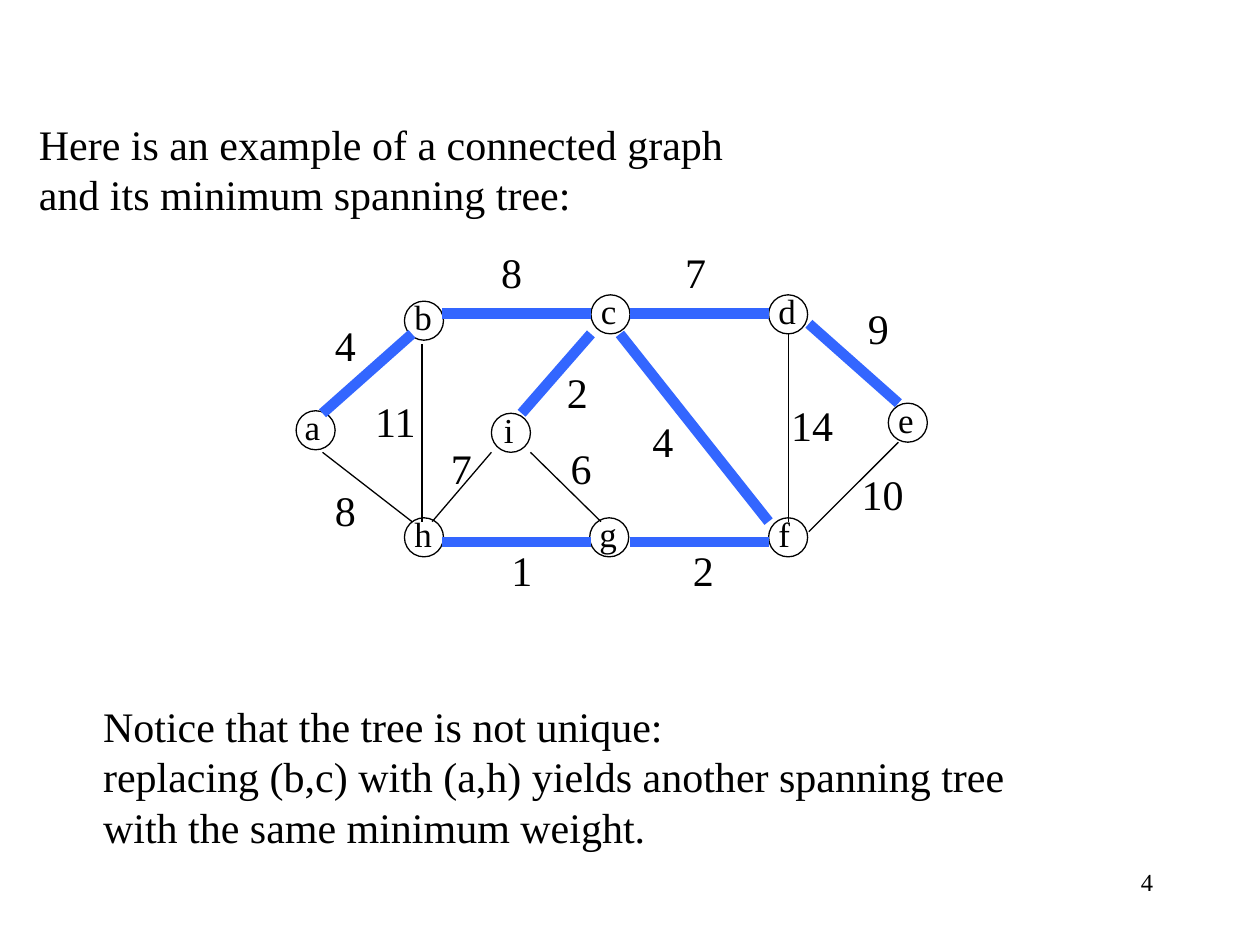
from pptx import Presentation
from pptx.dml.color import RGBColor
from pptx.enum.shapes import MSO_CONNECTOR, MSO_SHAPE
from pptx.enum.text import MSO_AUTO_SIZE, PP_ALIGN
from pptx.oxml.ns import qn
from pptx.util import Inches, Pt
from lxml.etree import SubElement

BLACK = RGBColor(0x00, 0x00, 0x00)
BLUE = RGBColor(0x33, 0x66, 0xFF)

NODES = [
    ("a", 2.35, 3.26, 0.32, 0.03),
    ("b", 3.21, 2.39, 0.34, 0.02),
    ("h", 3.21, 4.11, 0.34, 0.02),
    ("c", 4.69, 2.34, 0.32, 0.02),
    ("d", 6.1, 2.34, 0.34, 0.02),
    ("e", 7.05, 3.2, 0.32, 0.02),
    ("f", 6.1, 4.11, 0.29, 0.02),
    ("g", 4.68, 4.11, 0.34, 0.02),
    ("i", 3.9, 3.28, 0.28, 0),
]
TREE = [
    ((2.56, 3.28), (3.27, 2.65), "4", (2.56, 2.49)),
    ((3.51, 2.49), (4.69, 2.49), "8", (3.88, 1.91)),
    ((3.51, 4.3), (4.69, 4.3), "1", (3.96, 4.27)),
    ((5, 4.3), (6.1, 4.3), "2", (5.4, 4.27)),
    ((4.92, 2.65), (6.1, 4.14), "4", (5.08, 3.25)),
    ((5, 2.49), (6.1, 2.49), "7", (5.34, 1.91)),
    ((6.42, 2.57), (7.13, 3.2), "9", (6.79, 2.35)),
    ((4.14, 3.28), (4.69, 2.65), "2", (4.4, 2.86)),
]
REST = [
    ((2.56, 3.59), (3.27, 4.14), "8", (2.56, 3.8)),
    ((3.35, 2.73), (3.35, 4.14), "11", (2.88, 3.09)),
    ((6.26, 2.65), (6.26, 4.14), "14", (6.18, 3.12)),
    ((6.42, 4.22), (7.13, 3.51), "10", (6.74, 3.67)),
    ((4.21, 3.59), (4.77, 4.14), "6", (4.43, 3.46)),
    ((3.43, 4.14), (3.9, 3.59), "7", (3.48, 3.46)),
]


def write(frame, text, size=24, color=BLACK, font="Times New Roman", align=PP_ALIGN.LEFT):
    """Fill a text frame, one paragraph for each line of text."""
    for num, line in enumerate(text.split("\n")):
        para = frame.paragraphs[0] if num == 0 else frame.add_paragraph()
        para.alignment = align
        run = para.add_run()
        run.text = line
        run.font.size = Pt(size)
        run.font.name = font
        run.font.color.rgb = color


class Pen:
    """Draws the elements of a graph on the current slide."""

    thin, thick = 0.74, 6
    disc = 0.31

    def __init__(self, slide):
        """Start on a slide with a group for the graph."""
        self.slide = slide
        self.graph = slide.shapes.add_group_shape().shapes

    def text(self, text, x, y, w, h, shapes=None, wrap=False, **style):
        """Add a text box to the slide or to the given shapes."""
        shapes = shapes or self.slide.shapes
        box = shapes.add_textbox(Inches(x), Inches(y), Inches(w), Inches(h))
        frame = box.text_frame
        frame.word_wrap = wrap
        frame.auto_size = MSO_AUTO_SIZE.NONE if wrap else MSO_AUTO_SIZE.SHAPE_TO_FIT_TEXT
        write(frame, text, **style)

    def node(self, name, x, y, wide, shift):
        """Add a lettered circle."""
        self.text(name, x - shift, y - 0.09, wide, 0.44, self.graph, size=20)
        side = Inches(self.disc)
        ring = self.graph.add_shape(MSO_SHAPE.OVAL, Inches(x), Inches(y), side, side)
        ring.shadow.inherit = False
        ring.fill.background()
        ring.line.color.rgb = BLACK
        ring.line.width = Pt(self.thin)

    def edge(self, start, end, tree):
        """Add an edge, thick and blue when it is in the tree."""
        ends = [Inches(n) for n in start + end]
        line = self.graph.add_connector(MSO_CONNECTOR.STRAIGHT, *ends)
        line.line.color.rgb = BLUE if tree else BLACK
        line.line.width = Pt(self.thick if tree else self.thin)
        SubElement(line._element.spPr, qn("a:effectLst"))

    def weight(self, text, x, y):
        """Add the weight of an edge."""
        self.text(text, x, y, 0.36 if len(text) == 1 else 0.53, 0.5, self.graph)


def main():
    """Build the slide and save it."""
    deck = Presentation()
    deck.slide_width, deck.slide_height = Inches(10), Inches(7.5)
    pen = Pen(deck.slides.add_slide(deck.slide_layouts[6]))
    pen.text("4", 7.17, 6.83, 2.08, 0.5, wrap=True, size=14, align=PP_ALIGN.RIGHT)
    pen.text("Here is an example of a connected graph \n"
             "and its minimum spanning tree:", 0.21, 0.89, 5.71, 0.9)
    for node in NODES:
        pen.node(*node)
    for edges, tree in ((TREE, True), (REST, False)):
        for start, end, _, _ in edges:
            pen.edge(start, end, tree)
    for _, _, text, spot in TREE + REST:
        pen.weight(text, *spot)
    pen.text("Notice that the tree is not unique: \n"
             "replacing (b,c) with (a,h) yields another spanning tree \n"
             "with the same minimum weight.", 0.72, 5.51, 7.44, 1.3)
    deck.save("out.pptx")


main()
